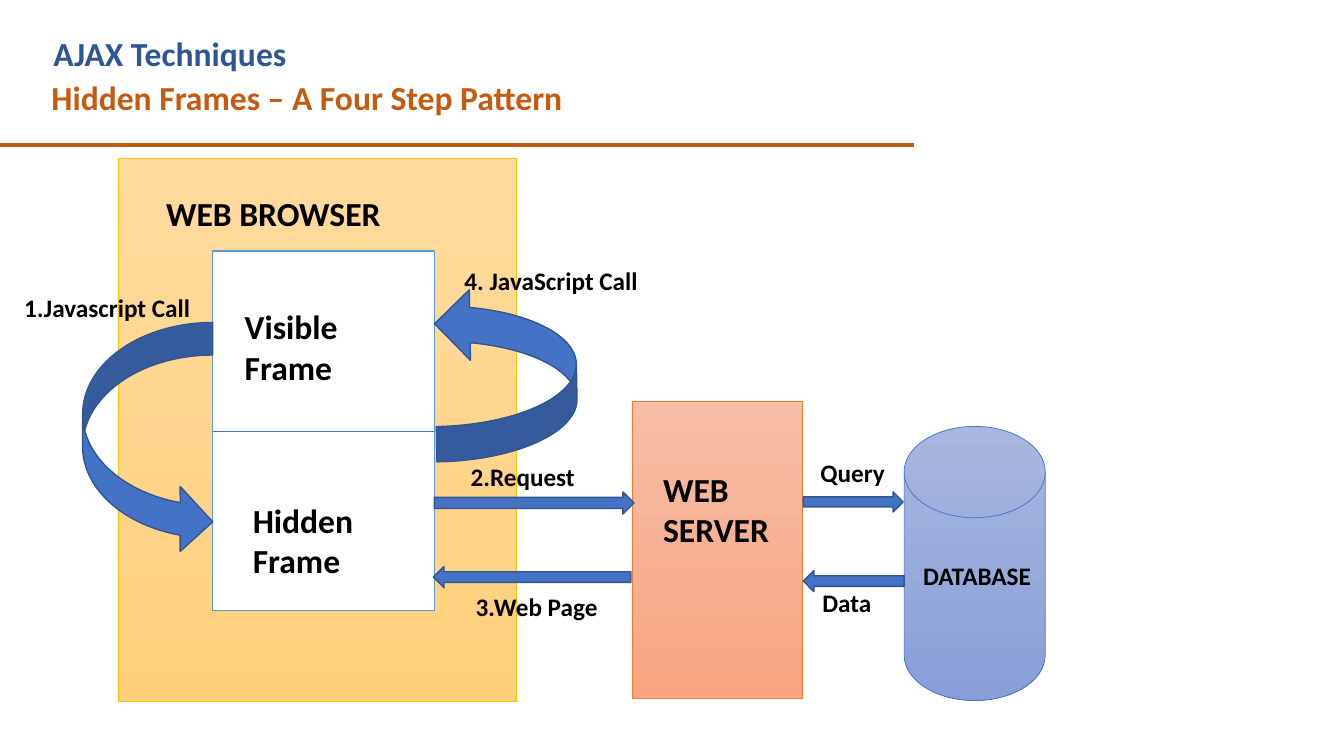
from dataclasses import dataclass

from lxml.etree import SubElement
from pptx import Presentation
from pptx.dml.color import RGBColor
from pptx.enum.shapes import MSO_CONNECTOR, MSO_SHAPE
from pptx.enum.text import MSO_ANCHOR, MSO_AUTO_SIZE, PP_ALIGN
from pptx.oxml.ns import qn
from pptx.util import Inches, Pt

WIDE, HIGH = Inches(13.333), Inches(7.5)
COL, ROW = WIDE / 40, HIGH / 30

HUES = {
    "rust": "C55A11", "navy": "2F5597", "black": "000000", "white": "FFFFFF",
    "gold": "FFC000", "sand": "FFDB9E", "amber": "FFD07C",
    "orange": "ED7D31", "peach": "F7BDA5", "coral": "F8A582",
    "blue": "4472C4", "mist": "A8B7DF", "lilac": "889ED7",
    "sky": "5B9BD5", "edge": "325491",
}
FRAME = {"word_wrap": True, "auto_size": MSO_AUTO_SIZE.NONE,
         "vertical_anchor": MSO_ANCHOR.TOP}
PARA = {"alignment": PP_ALIGN.LEFT, "space_before": Pt(0), "line_spacing": 1.0}


@dataclass
class Area:
    """A place on the grid, in columns and rows."""
    x: float
    y: float
    w: float
    h: float

    def box(self) -> tuple:
        return (round(self.x * COL), round(self.y * ROW),
                round(self.w * COL), round(self.h * ROW))


@dataclass
class Block:
    kind: MSO_SHAPE
    area: Area
    fills: tuple
    line: str
    width: float = 0.5
    turn: float = 0


@dataclass
class Label:
    text: str
    area: Area
    size: int = 18


def arrow(kind: MSO_SHAPE, area: Area, turn: float = 0) -> Block:
    return Block(kind, area, ("blue",), "edge", 1, turn)


BROWSER = Block(MSO_SHAPE.RECTANGLE, Area(3.51, 6.28, 11.85, 21.56), ("sand", "amber"), "gold")
PANE = Block(MSO_SHAPE.RECTANGLE, Area(6.33, 9.96, 6.6, 14.28), ("white",), "sky", 1)
SERVER = Block(MSO_SHAPE.RECTANGLE, Area(18.81, 15.92, 5.07, 11.8), ("peach", "coral"), "orange")
STORE = Block(MSO_SHAPE.FLOWCHART_MAGNETIC_DISK, Area(26.91, 16.92, 4.2, 10.88),
              ("mist", "lilac"), "blue")

LABELS = [
    Label("Visible Frame", Area(6.99, 11.96, 5.07, 3.64), 24),
    Label("Hidden Frame", Area(7.23, 19.64, 5.07, 3.64), 24),
    Label("1.Javascript Call", Area(0.42, 11.4, 5.88, 1.6)),
    Label("WEB SERVER", Area(19.44, 18.4, 4.08, 3.64), 24),
    Label("DATABASE", Area(27.18, 22.04, 3.84, 1.6)),
    Label("2.Request", Area(13.71, 18.12, 4.35, 1.6)),
    Label("Query", Area(24.12, 17.96, 2.58, 1.6)),
    Label("Data", Area(24.18, 23.12, 2.58, 1.6)),
    Label("3.Web Page", Area(13.86, 23.28, 4.35, 1.6)),
    Label("4. JavaScript Call", Area(13.53, 10.32, 6.21, 1.6)),
    Label("WEB BROWSER", Area(4.65, 7.44, 9, 2), 24),
]
ARROWS = [
    arrow(MSO_SHAPE.CURVED_RIGHT_ARROW, Area(2.46, 12.8, 3.87, 9.2)),
    arrow(MSO_SHAPE.RIGHT_ARROW, Area(12.93, 19.52, 5.94, 0.88)),
    arrow(MSO_SHAPE.RIGHT_ARROW, Area(23.91, 19.52, 2.97, 0.8)),
    arrow(MSO_SHAPE.LEFT_ARROW, Area(23.91, 22.64, 3, 0.84)),
    arrow(MSO_SHAPE.LEFT_ARROW, Area(12.9, 22.48, 5.88, 0.84)),
    arrow(MSO_SHAPE.CURVED_UP_ARROW, Area(12.48, 12.04, 5.16, 5.6), 269),
]


def shade(name: str) -> RGBColor:
    return RGBColor.from_string(HUES[name])


def apply(item, form: dict) -> None:
    for key, value in form.items():
        setattr(item, key, value)


def write(shape, text: str, size: int, hue: str) -> None:
    frame = shape.text_frame
    frame.text = text
    apply(frame, FRAME)
    para = frame.paragraphs[0]
    apply(para, PARA)
    apply(para.runs[0].font, {"name": "Calibri", "size": Pt(size), "bold": True})
    para.runs[0].font.color.rgb = shade(hue)


def place(holder, text: str, area: Area, hue: str) -> None:
    """Move a placeholder and fill it with one heading."""
    apply(holder, dict(zip(("left", "top", "width", "height"), area.box())))
    write(holder, text, 24, hue)


def plain(para) -> None:
    """Take the bullet and its indent off a paragraph."""
    props = para._p.get_or_add_pPr()
    props.set("marL", "0")
    props.set("indent", "0")
    SubElement(props, qn("a:buNone"))


def draw(slide, block: Block):
    shape = slide.shapes.add_shape(block.kind, *block.area.box())
    shape.shadow.inherit = False
    shape.rotation = block.turn
    if len(block.fills) == 1:
        shape.fill.solid()
        shape.fill.fore_color.rgb = shade(block.fills[0])
    else:
        shape.fill.gradient()
        shape.fill.gradient_angle = 270
        for stop, name in zip(shape.fill.gradient_stops, block.fills):
            stop.color.rgb = shade(name)
    shape.line.color.rgb = shade(block.line)
    shape.line.width = Pt(block.width)
    return shape


def rule(slide, start: tuple, end: tuple, hue: str, width: float):
    ends = [round(v * unit) for v, unit in zip(start + end, (COL, ROW) * 2)]
    line = slide.shapes.add_connector(MSO_CONNECTOR.STRAIGHT, *ends)
    line.line.color.rgb = shade(hue)
    line.line.width = Pt(width)
    SubElement(line._element.spPr, qn("a:effectLst"))
    return line


def main() -> None:
    deck = Presentation()
    apply(deck, {"slide_width": WIDE, "slide_height": HIGH})
    slide = deck.slides.add_slide(deck.slide_layouts[1])

    body = slide.placeholders[1]
    place(slide.shapes.title, "AJAX Techniques", Area(1.29, 1.12, 24.6, 2), "navy")
    place(body, "Hidden Frames – A Four Step Pattern", Area(1.23, 2.84, 26.25, 2), "rust")
    plain(body.text_frame.paragraphs[0])
    rule(slide, (0, 5.76), (27.2, 5.76), "rust", 3)

    draw(slide, BROWSER)
    pane = draw(slide, PANE)
    spot = PANE.area
    mid = spot.y + spot.h / 2
    split = rule(slide, (spot.x, mid), (spot.x + spot.w, mid), "blue", 0.5)
    split.begin_connect(pane, 1)
    split.end_connect(pane, 3)

    for block in (SERVER, STORE):
        draw(slide, block)
    for label in LABELS:
        write(slide.shapes.add_textbox(*label.area.box()), label.text, label.size, "black")
    for block in ARROWS:
        draw(slide, block)
    deck.save("out.pptx")


if __name__ == "__main__":
    main()
